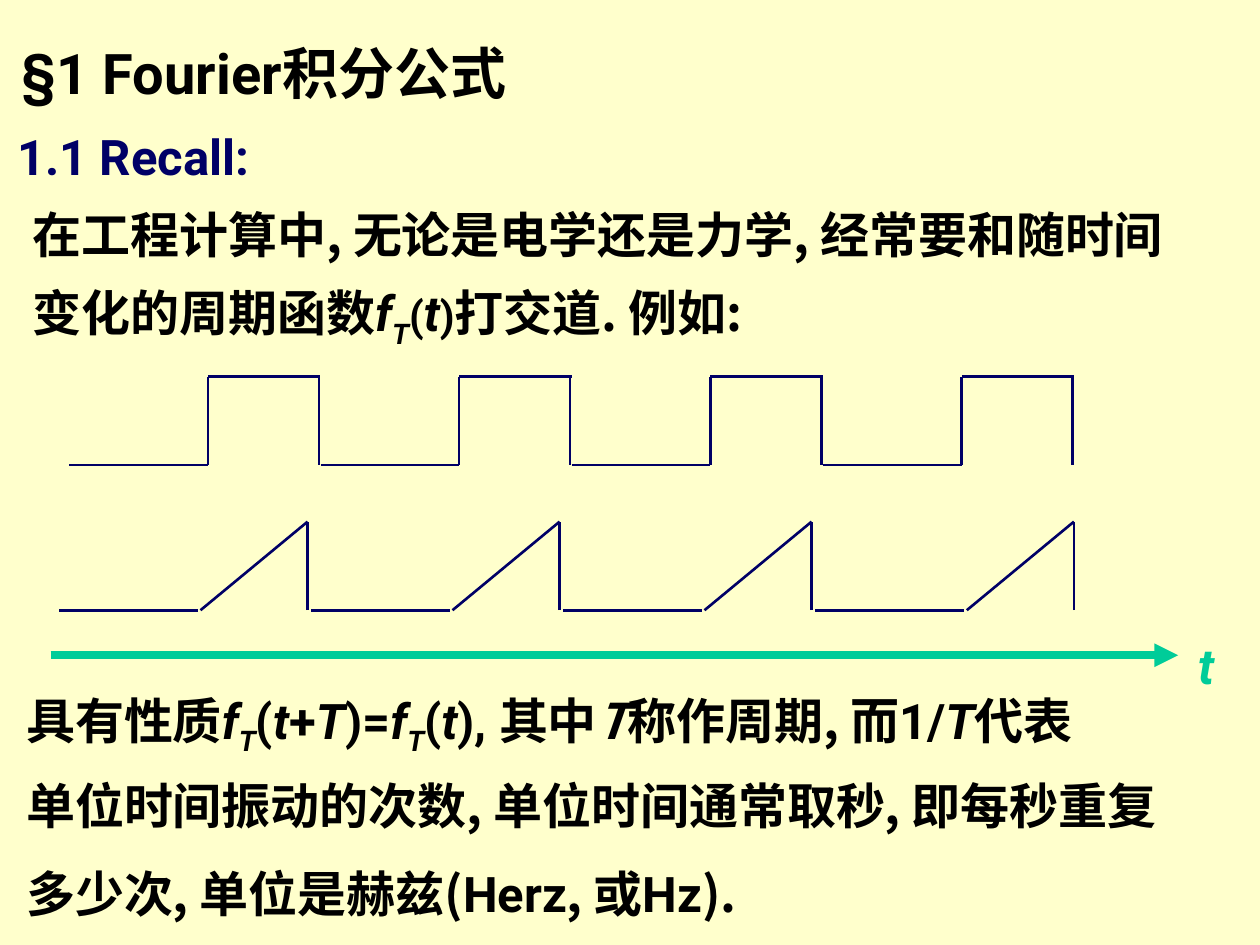
from lxml.etree import SubElement
from pptx import Presentation
from pptx.dml.color import RGBColor
from pptx.enum.shapes import MSO_CONNECTOR
from pptx.enum.text import MSO_ANCHOR, MSO_AUTO_SIZE, PP_ALIGN
from pptx.oxml.ns import qn
from pptx.util import Pt

CJK_FONT = "Noto Sans CJK SC"
LATIN_FONT = "Roboto"
BACKGROUND, BLACK, NAVY, GREEN = "FFFFCC", "000000", "000066", "00CC99"

CJK = {"font": CJK_FONT}
LATIN = {}
ITALIC = {"italic": True}
SUBSCRIPT = {"italic": True, "baseline": -25}
SMALL = {"size": 24}

INTRODUCTION = [
    [("在工程计算中, 无论是电学还是力学, 经常要和随时间", CJK)],
    [("变化的周期函数", CJK), ("f", ITALIC), ("T", SUBSCRIPT), ("(", SMALL),
     ("t", ITALIC), (")", SMALL), ("打交道. 例如:", CJK)],
]
PROPERTY = [
    [("具有性质", CJK), ("f", ITALIC), ("T", SUBSCRIPT), ("(", LATIN),
     ("t", ITALIC), ("+", LATIN), ("T", ITALIC), (")=", LATIN),
     ("f", ITALIC), ("T", SUBSCRIPT), ("(", LATIN), ("t", ITALIC),
     ("), ", LATIN), ("其中", CJK), ("T", CJK | ITALIC),
     ("称作周期, 而", CJK), ("1/", LATIN), ("T", ITALIC), ("代表", CJK)],
    [("单位时间振动的次数, 单位时间通常取秒, 即每秒重复", CJK)],
    [("多少次, 单位是赫兹(", CJK), ("Herz", LATIN), (", 或", CJK),
     ("Hz", LATIN), (").", CJK)],
]


def color(hex_value):
    return RGBColor.from_string(hex_value)


def add_text(paragraph, text, size=28, font=LATIN_FONT, fill=BLACK,
             italic=False, baseline=0):
    """Append a bold run; baseline is a percentage, negative for subscript."""
    run = paragraph.add_run()
    run.text = text
    run.font.size = Pt(size)
    run.font.bold = True
    run.font.italic = italic
    run.font.color.rgb = color(fill)
    run.font.name = font
    properties = run.font._element
    SubElement(properties, qn("a:ea")).set("typeface", CJK_FONT)
    if baseline:
        properties.set("baseline", str(baseline * 1000))


def add_box(shapes, left, top, width, height, wrap=True, anchor=MSO_ANCHOR.TOP):
    box = shapes.add_textbox(Pt(left), Pt(top), Pt(width), Pt(height))
    frame = box.text_frame
    frame.word_wrap = wrap
    frame.vertical_anchor = anchor
    frame.auto_size = MSO_AUTO_SIZE.NONE if wrap else MSO_AUTO_SIZE.SHAPE_TO_FIT_TEXT
    return frame


def add_label(shapes, position, text, **text_format):
    frame = add_box(shapes, *position, wrap=False, anchor=MSO_ANCHOR.MIDDLE)
    add_text(frame.paragraphs[0], text, **text_format)


def add_body(shapes, position, paragraphs, line_spacings, space_before=0):
    frame = add_box(shapes, *position)
    for index, (runs, spacing) in enumerate(zip(paragraphs, line_spacings)):
        paragraph = frame.add_paragraph() if index else frame.paragraphs[0]
        paragraph.line_spacing = spacing
        paragraph.space_before = Pt(space_before if index else 0)
        for text, text_format in runs:
            add_text(paragraph, text, **text_format)


def add_line(shapes, start, end, stroke=NAVY, width=1.5, arrow=False):
    line = shapes.add_connector(
        MSO_CONNECTOR.STRAIGHT, Pt(start[0]), Pt(start[1]), Pt(end[0]), Pt(end[1]))
    line.line.color.rgb = color(stroke)
    line.line.width = Pt(width)
    if arrow:
        SubElement(line.line._get_or_add_ln(), qn("a:tailEnd")).set("type", "triangle")
    SubElement(line._element.spPr, qn("a:effectLst"))


def add_title(slide):
    title = slide.shapes.title
    title.left, title.top, title.width, title.height = Pt(5), Pt(13), Pt(355.7), Pt(56.2)
    title.fill.solid()
    title.fill.fore_color.rgb = color(BACKGROUND)
    frame = title.text_frame
    frame.word_wrap = True
    frame.auto_size = MSO_AUTO_SIZE.NONE
    frame.vertical_anchor = MSO_ANCHOR.MIDDLE
    paragraph = frame.paragraphs[0]
    paragraph.alignment = PP_ALIGN.LEFT
    add_text(paragraph, "§1 Fourier积分公式", size=32)


def add_square_wave(slide, left=39.6, low=265.7, high=215.3, period=143.6, cycles=4):
    shapes = slide.shapes.add_group_shape().shapes
    for cycle in range(cycles):
        start = left + cycle * period
        rise, fall = start + 79.2, start + 142.6
        add_line(shapes, (start, low), (rise, low))
        add_line(shapes, (rise, low), (rise, high))
        add_line(shapes, (rise, high), (fall + 0.8, high))
        add_line(shapes, (fall, low), (fall, high))


def add_sawtooth_wave(slide, left=33.8, low=348.7, high=298.1, period=144, cycles=4):
    """Draw the sawtooth; its last flat part is slightly longer."""
    shapes = slide.shapes.add_group_shape().shapes
    for cycle in range(cycles):
        start = left + cycle * period
        stretch = 5.9 if cycle == cycles - 1 else 0
        ramp, peak = start + 80.8 + stretch, start + 142 + stretch
        add_line(shapes, (start, low), (ramp - 1.6, low))
        add_line(shapes, (ramp, low), (peak, high))
        add_line(shapes, (peak, low), (peak, high))


def add_time_axis(slide):
    shapes = slide.shapes.add_group_shape().shapes
    add_label(shapes, (677.5, 359.3, 26, 41), "t", fill=GREEN, italic=True)
    add_line(shapes, (29, 374.4), (673.2, 374.4), stroke=GREEN, width=4.5, arrow=True)


def main():
    presentation = Presentation()
    presentation.slide_width, presentation.slide_height = Pt(720), Pt(540)
    slide = presentation.slides.add_slide(presentation.slide_layouts[5])
    slide.background.fill.solid()
    slide.background.fill.fore_color.rgb = color(BACKGROUND)

    add_title(slide)
    add_label(slide.shapes, (2.9, 68.4, 163.4, 41), "1.1 Recall:", fill=NAVY)
    add_body(slide.shapes, (11.5, 103, 708.5, 95.8), INTRODUCTION, (1.3, 1.3))
    add_body(slide.shapes, (7.9, 379.4, 707.8, 135.4), PROPERTY, (1.3, 1.1, 1.3),
             space_before=7)
    add_time_axis(slide)
    add_square_wave(slide)
    add_sawtooth_wave(slide)
    presentation.save("out.pptx")


if __name__ == "__main__":
    main()
